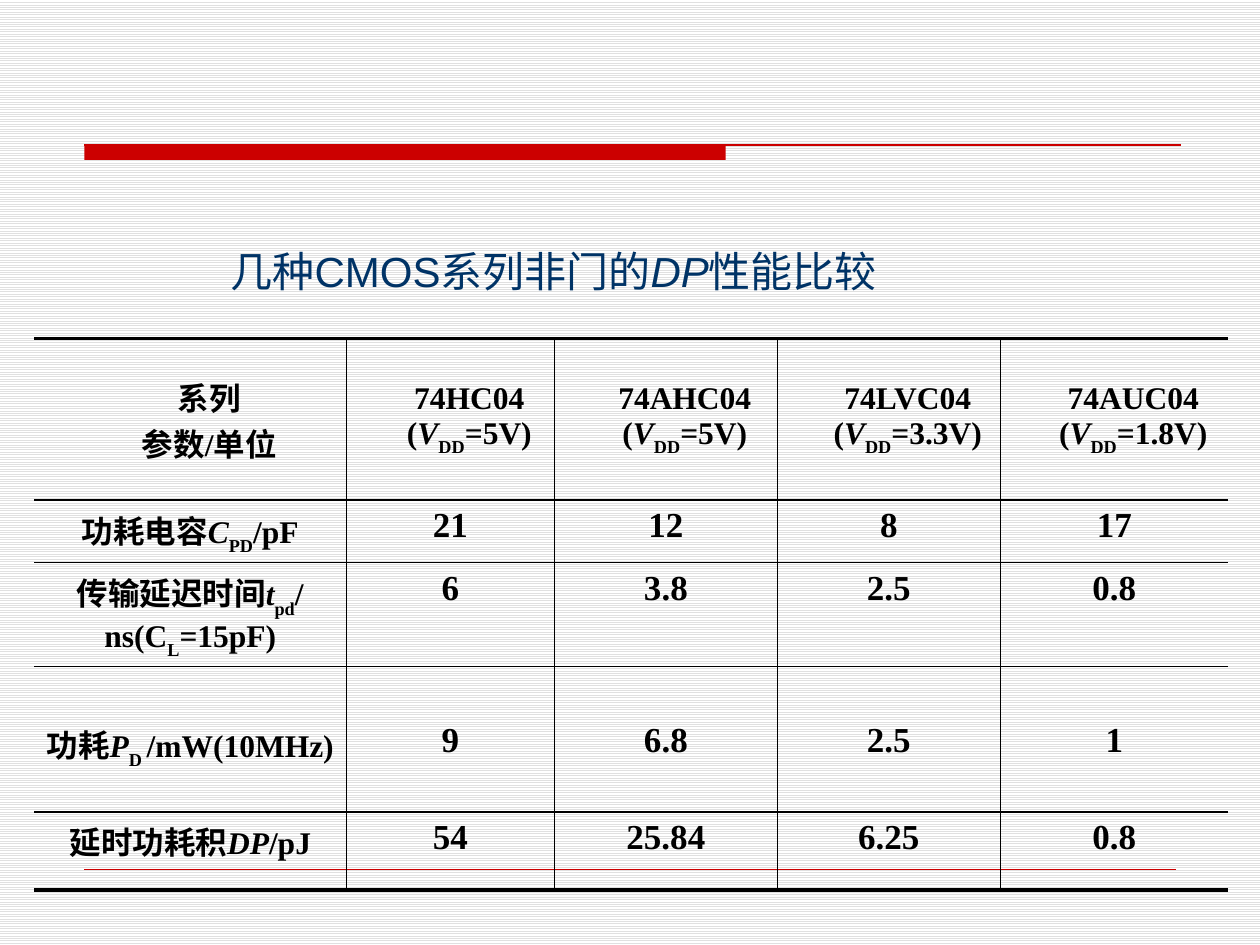
from dataclasses import dataclass
from lxml.etree import SubElement
from pptx import Presentation
from pptx.dml.color import RGBColor as RGB
from pptx.enum.dml import MSO_PATTERN as PATTERN
from pptx.enum.shapes import MSO_CONNECTOR as CONNECTOR, MSO_SHAPE as SHAPE
from pptx.enum.text import MSO_ANCHOR as ANCHOR, MSO_AUTO_SIZE as AUTO, PP_ALIGN as ALIGN
from pptx.oxml.ns import qn
from pptx.util import Inches, Pt


@dataclass(frozen=True)
class Theme:
    width: float = 10
    height: float = 7.5
    red: str = "CC0000"
    navy: str = "003366"
    black: str = "000000"
    white: str = "FFFFFF"
    stripe: str = "E0E0E0"
    title_font: str = "Arial"
    table_font: str = "Times New Roman"
    title_size: int = 24
    label_size: int = 18
    value_size: int = 20


T = Theme()
COLS = [2.48, 1.65, 1.77, 1.77, 1.81]
ROWS = [1.28, 0.49, 0.64, 0.38, 0.2, 0.62]
SPACER = 3
SERIES = [("74HC04", "5"), ("74AHC04", "5"), ("74LVC04", "3.3"), ("74AUC04", "1.8")]
HEADER = ["系列\n参数/单位"] + [f"{name}\n(|~V|_DD|={volts}V)" for name, volts in SERIES]
BODY = [
    ["功耗电容|~C|_PD|/pF", "21", "12", "8", "17"],
    ["传输延迟时间|~t|_pd|/ns(C|_L|=15pF)", "6", "3.8", "2.5", "0.8"],
    [""] * len(COLS),
    ["功耗|~P|_D |/mW(10MHz)", "9", "6.8", "2.5", "1"],
    ["延时功耗积|~DP|/pJ", "54", "25.84", "6.25", "0.8"],
]


def share_x(share):
    return Inches(round(T.width * share, 2))


def share_y(share):
    return Inches(round(T.height * share, 2))


def color(code):
    return RGB.from_string(code)


def add_runs(p, markup):
    for part in filter(None, markup.split("|")):
        r = p.add_run()
        r.text = part.lstrip("~_")
        if part.startswith("~"):
            r.font.italic = True
        if part.startswith("_"):
            r.font._element.set("baseline", "-30000")


def style(p, font, size, code, bold=False):
    p.font.name, p.font.size, p.font.bold = font, Pt(size), bold
    p.font.color.rgb = color(code)


def add_background(s):
    fill = s.background.fill
    fill.patterned()
    fill.pattern = PATTERN.LIGHT_HORIZONTAL
    fill.fore_color.rgb = color(T.stripe)
    fill.back_color.rgb = color(T.white)


def add_bar(s, x, y, w, h):
    sp = s.shapes.add_shape(SHAPE.RECTANGLE, share_x(x), share_y(y), share_x(w), share_y(h))
    sp.shadow.inherit = False
    sp.fill.solid()
    sp.fill.fore_color.rgb = color(T.red)
    sp.line.fill.background()


def add_rule(s, x1, x2, y, weight):
    line = s.shapes.add_connector(CONNECTOR.STRAIGHT, share_x(x1), share_y(y), share_x(x2), share_y(y))
    line.line.color.rgb = color(T.red)
    line.line.width = Pt(weight)
    SubElement(line._element.spPr, qn("a:effectLst"))


def add_title(s, markup):
    sp = s.shapes.title
    sp.left, sp.top, sp.width, sp.height = share_x(0.173), share_y(0.253), share_x(0.673), share_y(0.12)
    tf = sp.text_frame
    tf.word_wrap, tf.auto_size, tf.vertical_anchor = True, AUTO.NONE, ANCHOR.TOP
    p = tf.paragraphs[0]
    p.alignment = ALIGN.LEFT
    add_runs(p, markup)
    style(p, T.title_font, T.title_size, T.navy)


def add_borders(cell, weights):
    for side, weight in weights.items():
        ln = SubElement(cell._tc.get_or_add_tcPr(), qn(f"a:ln{side}"))
        if weight:
            ln.set("w", str(Pt(weight)))
            fill = SubElement(ln, qn("a:solidFill"))
            SubElement(fill, qn("a:srgbClr")).set("val", T.black)
        else:
            SubElement(ln, qn("a:noFill"))


def border_weights(row, col):
    top = 2 if row == 0 else int(row != SPACER + 1)
    bottom = 2 if row == len(ROWS) - 1 else int(row != SPACER)
    return {"L": int(col > 0), "R": int(col < len(COLS) - 1), "T": top, "B": bottom}


def fill_cell(cell, text, size, header):
    if header:
        cell.vertical_anchor = ANCHOR.MIDDLE
    tf = cell.text_frame
    for i, markup in enumerate(text.split("\n")):
        p = tf.add_paragraph() if i else tf.paragraphs[0]
        p.alignment = ALIGN.CENTER
        if header:
            p._p.get_or_add_pPr().set("indent", str(Inches(0.3)))
        add_runs(p, markup)
        style(p, T.table_font, size, T.black, bold=True)


def add_comparison(s, data):
    frame = s.shapes.add_table(len(ROWS), len(COLS), share_x(0.027), share_y(0.359),
                               Inches(sum(COLS)), Inches(sum(ROWS)))
    table = frame.table
    table.first_row = table.horz_banding = False
    for column, width in zip(table.columns, COLS):
        column.width = Inches(width)
    for i, (height, texts) in enumerate(zip(ROWS, data)):
        table.rows[i].height = Inches(height)
        for j, text in enumerate(texts):
            cell = table.cell(i, j)
            size = T.value_size if i and j and text else T.label_size
            fill_cell(cell, text, size, header=i == 0)
            add_borders(cell, border_weights(i, j))
            cell.fill.background()


def main():
    prs = Presentation()
    prs.slide_width, prs.slide_height = Inches(T.width), Inches(T.height)
    s = prs.slides.add_slide(prs.slide_layouts[5])
    add_background(s)
    add_bar(s, 0.067, 0.153, 0.509, 0.016)
    add_rule(s, 0.067, 0.937, 0.153, 0.75)
    add_rule(s, 0.067, 0.933, 0.92, 0.25)
    add_title(s, "几种CMOS系列非门的|~DP|性能比较")
    add_comparison(s, [HEADER] + BODY)
    prs.save("out.pptx")


if __name__ == "__main__":
    main()
